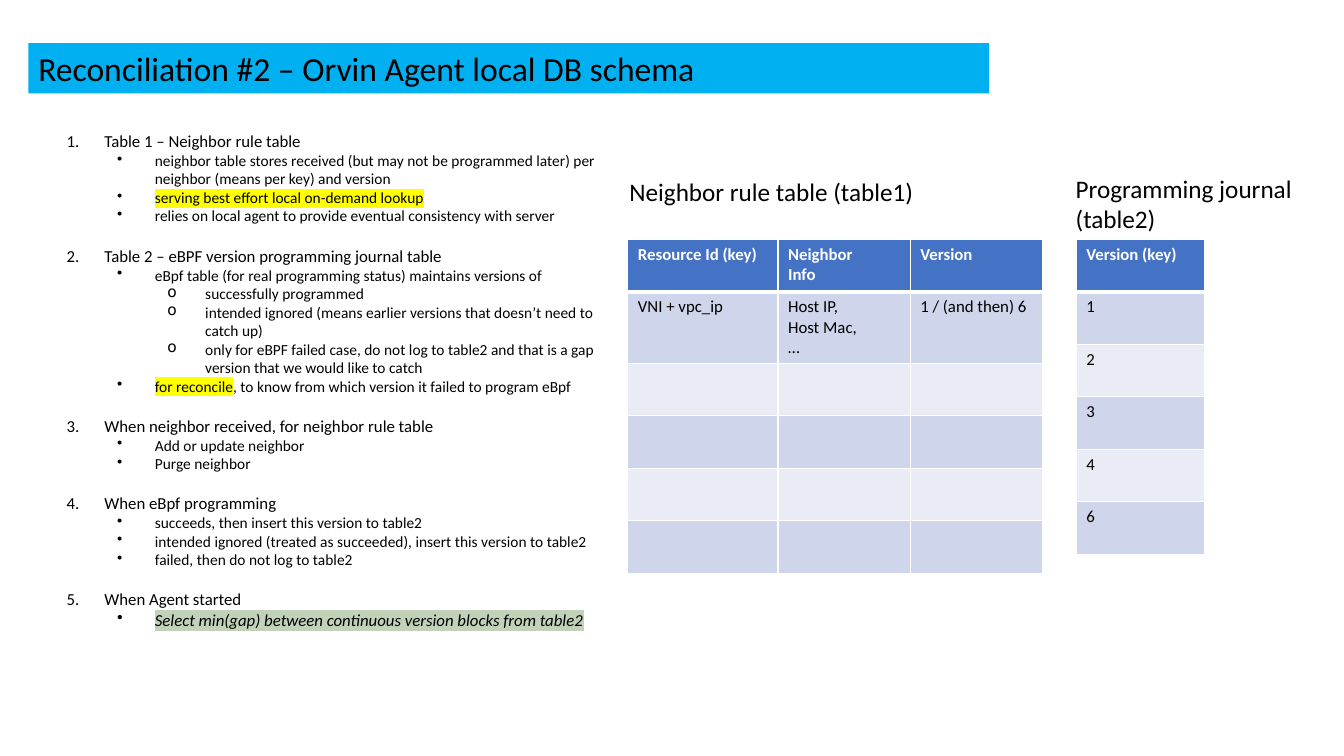
from dataclasses import dataclass

from lxml.etree import SubElement
from pptx import Presentation
from pptx.dml.color import RGBColor
from pptx.enum.shapes import MSO_SHAPE
from pptx.enum.text import MSO_ANCHOR, MSO_AUTO_SIZE, PP_ALIGN
from pptx.oxml import parse_xml
from pptx.oxml.ns import nsdecls, qn
from pptx.util import Emu, Pt

SCALE = 9525
FONT = "Calibri"
COLORS = {
    "black": "000000",
    "white": "FFFFFF",
    "title": "00B0F0",
    "head": "4472C4",
    "odd": "CFD5EA",
    "even": "E9EBF5",
    "yellow": "FFFF00",
    "green": "C1D2B8",
}


@dataclass(frozen=True)
class Box:
    left: int
    top: int
    width: int
    height: int
    text: str = ""
    size: int = 18
    fill: str = ""
    wrap: bool = False


@dataclass(frozen=True)
class Grid:
    left: int
    top: int
    cols: tuple[int, ...]
    cells: tuple[tuple[str, ...], ...]
    row: int = 50


@dataclass(frozen=True)
class Item:
    """One list line: marked text first, then plain text."""
    level: int
    text: str = ""
    marked: str = ""
    mark: str = "yellow"
    size: int = 11
    italic: bool = False


TITLE = Box(27, 41, 915, 48, "Reconciliation #2 – Orvin Agent local DB schema",
            24, "title", True)
BODY = Box(54, 120, 530, 488, fill="white", wrap=True)
LABELS = (
    Box(590, 163, 294, 38, "Neighbor rule table (table1)"),
    Box(1015, 160, 228, 68, "Programming journal\n(table2)"),
)
GRIDS = (
    Grid(598, 228, (143, 126, 126), (
        ("Resource Id (key)", "Neighbor\nInfo", "Version"),
        ("VNI + vpc_ip", "Host IP,\nHost Mac,\n…", "1 / (and then) 6"),
    ) + (("", "", ""),) * 4),
    Grid(1025, 228, (122,),
         (("Version (key)",), ("1",), ("2",), ("3",), ("4",), ("6",))),
)
ITEMS = (
    Item(0, "Table 1 – Neighbor rule table", size=12),
    Item(1, "neighbor table stores received (but may not be programmed later) "
            "per neighbor (means per key) and version"),
    Item(1, marked="serving best effort local on-demand lookup"),
    Item(1, "relies on local agent to provide eventual consistency with server"),
    Item(0, "Table 2 – eBPF version programming journal table", size=12),
    Item(1, "eBpf table (for real programming status) maintains versions of"),
    Item(2, "successfully programmed"),
    Item(2, "intended ignored (means earlier versions that doesn’t need to catch up)"),
    Item(2, "only for eBPF failed case, do not log to table2 and that is a gap "
            "version that we would like to catch"),
    Item(1, ", to know from which version it failed to program eBpf", "for reconcile"),
    Item(0, "When neighbor received, for neighbor rule table", size=12),
    Item(1, "Add or update neighbor"),
    Item(1, "Purge neighbor"),
    Item(0, "When eBpf programming", size=12),
    Item(1, "succeeds, then insert this version to table2"),
    Item(1, "intended ignored (treated as succeeded), insert this version to table2"),
    Item(1, "failed, then do not log to table2"),
    Item(0, "When Agent started", size=12),
    Item(1, marked="Select min(gap) between continuous version blocks from table2",
         mark="green", size=12, italic=True),
)


def px(count: int) -> Emu:
    return Emu(count * SCALE)


def rgb(name: str) -> RGBColor:
    return RGBColor.from_string(COLORS[name])


def style(font, size: int, color: str = "black", **extra) -> None:
    form = {"name": FONT, "size": Pt(size)} | extra
    for key, value in form.items():
        setattr(font, key, value)
    font.color.rgb = rgb(color)


def draw_box(slide, box: Box):
    """Draw a filled or bare text block and return its text frame."""
    place = [px(n) for n in (box.left, box.top, box.width, box.height)]
    if box.fill:
        shape = slide.shapes.add_shape(MSO_SHAPE.RECTANGLE, *place)
        shape.shadow.inherit = False
        shape.fill.solid()
        shape.fill.fore_color.rgb = rgb(box.fill)
        shape.line.fill.background()
    else:
        shape = slide.shapes.add_textbox(*place)
    frame = shape.text_frame
    form = {"text": box.text, "word_wrap": box.wrap,
            "vertical_anchor": MSO_ANCHOR.TOP,
            "auto_size": MSO_AUTO_SIZE.SHAPE_TO_FIT_TEXT}
    for key, value in form.items():
        setattr(frame, key, value)
    for para in frame.paragraphs:
        para.alignment = PP_ALIGN.LEFT
        style(para.font, box.size)
        for run in para.runs:
            style(run.font, box.size)
    return frame


def add_run(para, text: str, item: Item, mark: str = "") -> None:
    run = para.add_run()
    run.text = text
    style(run.font, item.size, italic=item.italic)
    if mark:
        fill = run.font._element.find(qn("a:solidFill"))
        fill.addnext(parse_xml(
            f'<a:highlight {nsdecls("a")}><a:srgbClr val="{COLORS[mark]}"/></a:highlight>'))


def draw_list(frame, items: tuple[Item, ...]) -> None:
    count = 0
    for index, item in enumerate(items):
        para = frame.add_paragraph() if index else frame.paragraphs[0]
        para.alignment = PP_ALIGN.LEFT
        para.level = item.level
        props = para._p.get_or_add_pPr()
        props.set("marL", str(px(36 + 48 * item.level)))
        props.set("indent", str(px(-36)))
        if item.level == 0:
            count += 1
            if index:
                para.space_before = Pt(14.6)
            SubElement(props, qn("a:buAutoNum"), type="arabicPeriod", startAt=str(count))
        else:
            SubElement(props, qn("a:buChar"), char="•o"[item.level - 1])
        if item.marked:
            add_run(para, item.marked, item, item.mark)
        if item.text:
            add_run(para, item.text, item)


def set_edges(cell, row: int) -> None:
    """Draw white cell borders, thick between header and body."""
    props = cell._tc.get_or_add_tcPr()
    for index, side in enumerate("LRTB"):
        thick = (row, side) in ((0, "B"), (1, "T"))
        props.insert(index, parse_xml(
            f'<a:ln{side} {nsdecls("a")} w="{Pt(3 if thick else 1)}"><a:solidFill>'
            f'<a:srgbClr val="{COLORS["white"]}"/></a:solidFill></a:ln{side}>'))


def draw_grid(slide, grid: Grid) -> None:
    rows = len(grid.cells)
    table = slide.shapes.add_table(
        rows, len(grid.cols), px(grid.left), px(grid.top),
        px(sum(grid.cols)), px(grid.row * rows)).table
    for col, width in zip(table.columns, grid.cols):
        col.width = px(width)
    for r, texts in enumerate(grid.cells):
        table.rows[r].height = px(grid.row)
        fill = ("odd" if r % 2 else "even") if r else "head"
        for c, text in enumerate(texts):
            cell = table.cell(r, c)
            cell.text = text
            cell.fill.solid()
            cell.fill.fore_color.rgb = rgb(fill)
            set_edges(cell, r)
            for para in cell.text_frame.paragraphs:
                for run in para.runs:
                    style(run.font, 12, "black" if r else "white", bold=r == 0)


def main() -> None:
    deck = Presentation()
    deck.slide_width, deck.slide_height = px(1280), px(720)
    slide = deck.slides.add_slide(deck.slide_layouts[6])
    for grid in GRIDS:
        draw_grid(slide, grid)
    for label in LABELS:
        draw_box(slide, label)
    draw_list(draw_box(slide, BODY), ITEMS)
    draw_box(slide, TITLE)
    deck.save("out.pptx")


if __name__ == "__main__":
    main()
